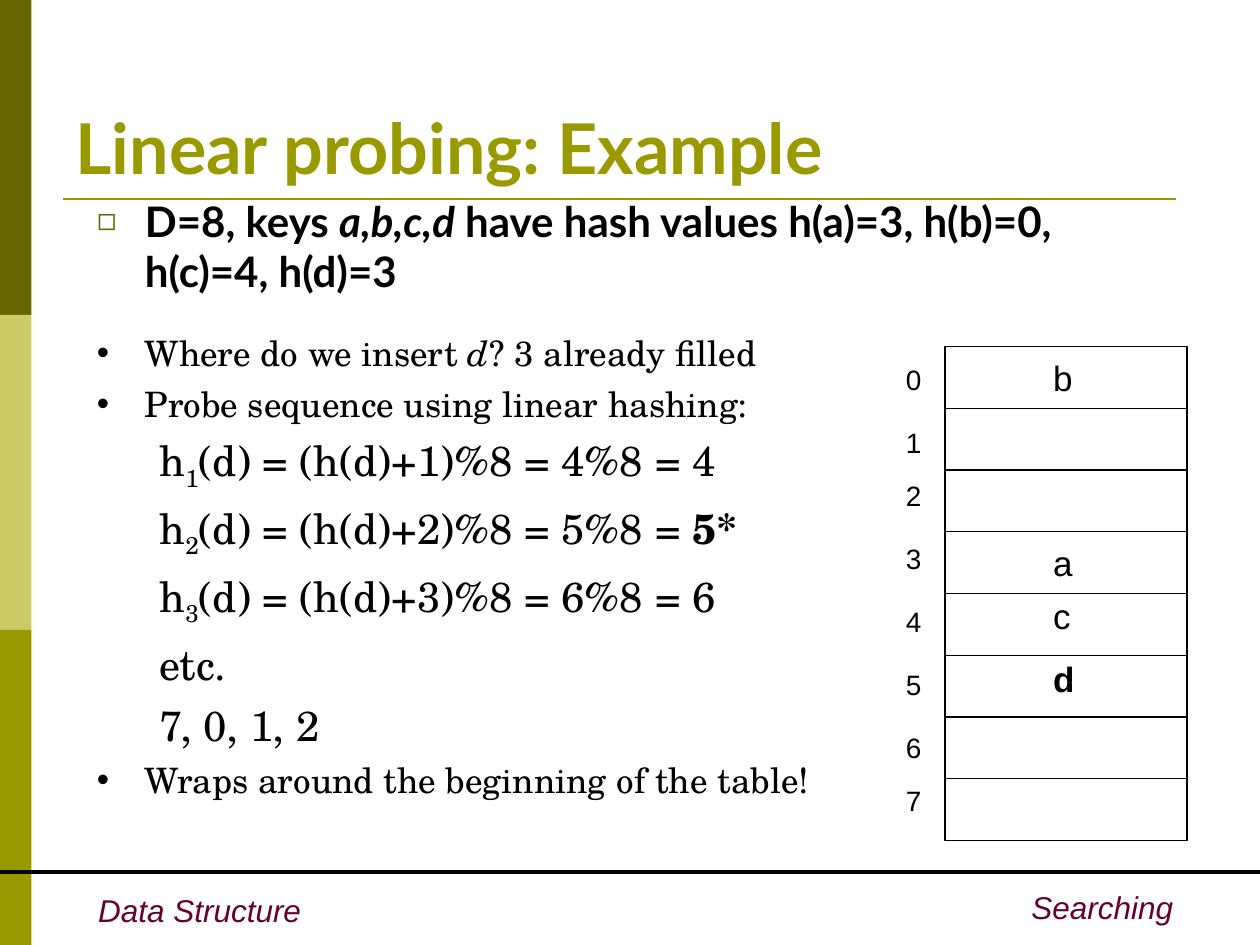
from lxml.etree import SubElement
from pptx import Presentation
from pptx.dml.color import RGBColor
from pptx.enum.shapes import MSO_CONNECTOR, MSO_SHAPE
from pptx.enum.text import MSO_ANCHOR, MSO_AUTO_SIZE, PP_ALIGN
from pptx.oxml.ns import qn
from pptx.util import Inches, Pt

SCHOLA = "TeX Gyre Schola"
SLOTS = 8
TABLE_LEFT, TABLE_TOP, TABLE_WIDTH, SLOT_HEIGHT = 7.5, 2.75, 1.92, 0.49


def rgb(value):
    """Turn a hex string into a colour."""
    return RGBColor.from_string(value)


def write(p, text, size=20, font="Arial", color="000000", bold=False,
          italic=False, base=0):
    """Add a formatted run to a paragraph."""
    r = p.add_run()
    r.text = text
    f = r.font
    f.size, f.name, f.bold, f.italic = Pt(size), font, bold, italic
    f.color.rgb = rgb(color)
    if base:
        r._r.get_or_add_rPr().set("baseline", str(base * 1000))


def indent(p, left, first, before=0):
    """Set the indents and the space before a paragraph."""
    pPr = p._p.get_or_add_pPr()
    pPr.set("marL", str(Inches(left)))
    pPr.set("indent", str(Inches(first)))
    p.space_before = Pt(before)
    return pPr


def bullet(p, char, color, before=0, percent=100):
    """Give a paragraph a hanging bullet."""
    pPr = indent(p, 0.38, -0.38, before)
    clr = SubElement(pPr, qn("a:buClr"))
    SubElement(clr, qn("a:srgbClr"), val=color)
    SubElement(pPr, qn("a:buSzPct"), val=str(percent * 1000))
    SubElement(pPr, qn("a:buFont"), typeface="Arial")
    SubElement(pPr, qn("a:buChar"), char=char)


def add_box(s, left, top, width, height, wrap=False):
    """Add a text box and return its text frame."""
    sp = s.shapes.add_textbox(Inches(left), Inches(top), Inches(width), Inches(height))
    sp.text_frame.word_wrap = wrap
    return sp.text_frame


def add_rect(s, left, top, width, height, fill=None, line=None):
    """Add a plain rectangle with a fill or an outline."""
    sp = s.shapes.add_shape(MSO_SHAPE.RECTANGLE, Inches(left), Inches(top),
                            Inches(width), Inches(height))
    sp.shadow.inherit = False
    if fill:
        sp.fill.solid()
        sp.fill.fore_color.rgb = rgb(fill)
    else:
        sp.fill.background()
    if line:
        sp.line.color.rgb = rgb(line)
        sp.line.width = Pt(0.75)
    else:
        sp.line.fill.background()
    return sp


def add_rule(s, left, right, y, color="000000", width=0.75):
    """Add a horizontal line."""
    cxn = s.shapes.add_connector(MSO_CONNECTOR.STRAIGHT, Inches(left), Inches(y),
                                 Inches(right), Inches(y))
    cxn.line.color.rgb = rgb(color)
    cxn.line.width = Pt(width)
    SubElement(cxn._element.spPr, qn("a:effectLst"))
    return cxn


def place(sp, left, top, width, height, anchor):
    """Move a placeholder and return its text frame."""
    sp.left, sp.top = Inches(left), Inches(top)
    sp.width, sp.height = Inches(width), Inches(height)
    tf = sp.text_frame
    tf.word_wrap, tf.auto_size = True, MSO_AUTO_SIZE.NONE
    tf.vertical_anchor = anchor
    return tf


def add_frame(s):
    """Draw the side bar, the rules and the footer."""
    for i, color in enumerate(("666600", "CCCC66", "999900")):
        add_rect(s, 0, 2.5 * i, 0.25, 2.5, fill=color)
    add_rule(s, 0.5, 9.33, 1.58, "999900", 1.5)
    add_rule(s, 0, 10, 6.92, width=2.25)
    footer = {"size": 18, "color": "660033", "italic": True}
    write(add_box(s, 0.68, 7.02, 1.81, 0.4).paragraphs[0], "Data Structure", **footer)
    p = add_box(s, 5.24, 7, 4.17, 0.4, wrap=True).paragraphs[0]
    p.alignment = PP_ALIGN.RIGHT
    write(p, "Searching", **footer)


def add_headings(s):
    """Fill the title and the body placeholder."""
    tf = place(s.shapes.title, 0.5, 0.3, 9, 1.25, MSO_ANCHOR.BOTTOM)
    p = tf.paragraphs[0]
    p.alignment = PP_ALIGN.LEFT
    write(p, "Linear probing: Example", size=40, font="Lato", color="999900", bold=True)
    tf = place(s.placeholders[1], 0.67, 1.5, 8.5, 1.17, MSO_ANCHOR.TOP)
    p = tf.paragraphs[0]
    bullet(p, "◻", "666600", percent=75)
    for text, italic in (("D=8, keys ", False), ("a,b,c,d", True),
                         (" have hash values h(a)=3, h(b)=0, h(c)=4, h(d)=3", False)):
        write(p, text, size=24, font="Lato", bold=True, italic=italic)


def add_steps(s):
    """Write the probing steps."""
    tf = add_box(s, 0.67, 2.58, 6.33, 4.75, wrap=True)

    def point(before=5):
        """Start a bulleted paragraph."""
        p = tf.add_paragraph() if before else tf.paragraphs[0]
        bullet(p, "•", "000000", before)
        return p

    def formula():
        """Start an indented paragraph."""
        p = tf.add_paragraph()
        p.level = 1
        indent(p, 0.81, -0.31, 6)
        return p

    p = point(before=0)
    write(p, "Where do we insert ", font=SCHOLA)
    write(p, "d", font=SCHOLA, italic=True)
    write(p, "? 3 already filled", font=SCHOLA)
    write(point(), "Probe sequence using linear hashing:", font=SCHOLA)
    big = {"size": 24, "font": SCHOLA}
    for i, (result, bold) in enumerate((("4", False), ("5*", True), ("6", False)), 1):
        p = formula()
        write(p, "h", **big)
        write(p, str(i), base=-25, **big)
        write(p, f"(d) = (h(d)+{i})%8 = {i + 3}%8 = ", **big)
        write(p, result, bold=bold, **big)
    for text in ("etc.", "7, 0, 1, 2"):
        write(formula(), text, **big)
    write(point(), "Wraps around the beginning of the table!", font=SCHOLA)


def add_hash_table(s):
    """Draw the hash table with its slot numbers and keys."""
    table = add_rect(s, TABLE_LEFT, TABLE_TOP, TABLE_WIDTH, SLOTS * SLOT_HEIGHT,
                     line="000000")
    for i in range(1, SLOTS):
        cxn = add_rule(s, TABLE_LEFT, TABLE_LEFT + TABLE_WIDTH, TABLE_TOP + i * SLOT_HEIGHT)
        if i == SLOTS // 2:
            cxn.begin_connect(table, 1)
            cxn.end_connect(table, 3)
    for i, top in enumerate((2.83, 3.33, 3.75, 4.25, 4.75, 5.25, 5.75, 6.17)):
        write(add_box(s, 7.09, top, 0.32, 0.37).paragraphs[0], str(i), size=16)
    for key, top in (("b", 2.78), ("a", 4.25), ("c", 4.67), ("d", 5.17)):
        write(add_box(s, 8.26, top, 0.35, 0.44).paragraphs[0], key, bold=key == "d")


def main():
    """Build the slide and save it."""
    prs = Presentation()
    prs.slide_width, prs.slide_height = Inches(10), Inches(7.5)
    s = prs.slides.add_slide(prs.slide_layouts[1])
    add_frame(s)
    add_headings(s)
    add_hash_table(s)
    add_steps(s)
    prs.save("out.pptx")


if __name__ == "__main__":
    main()
